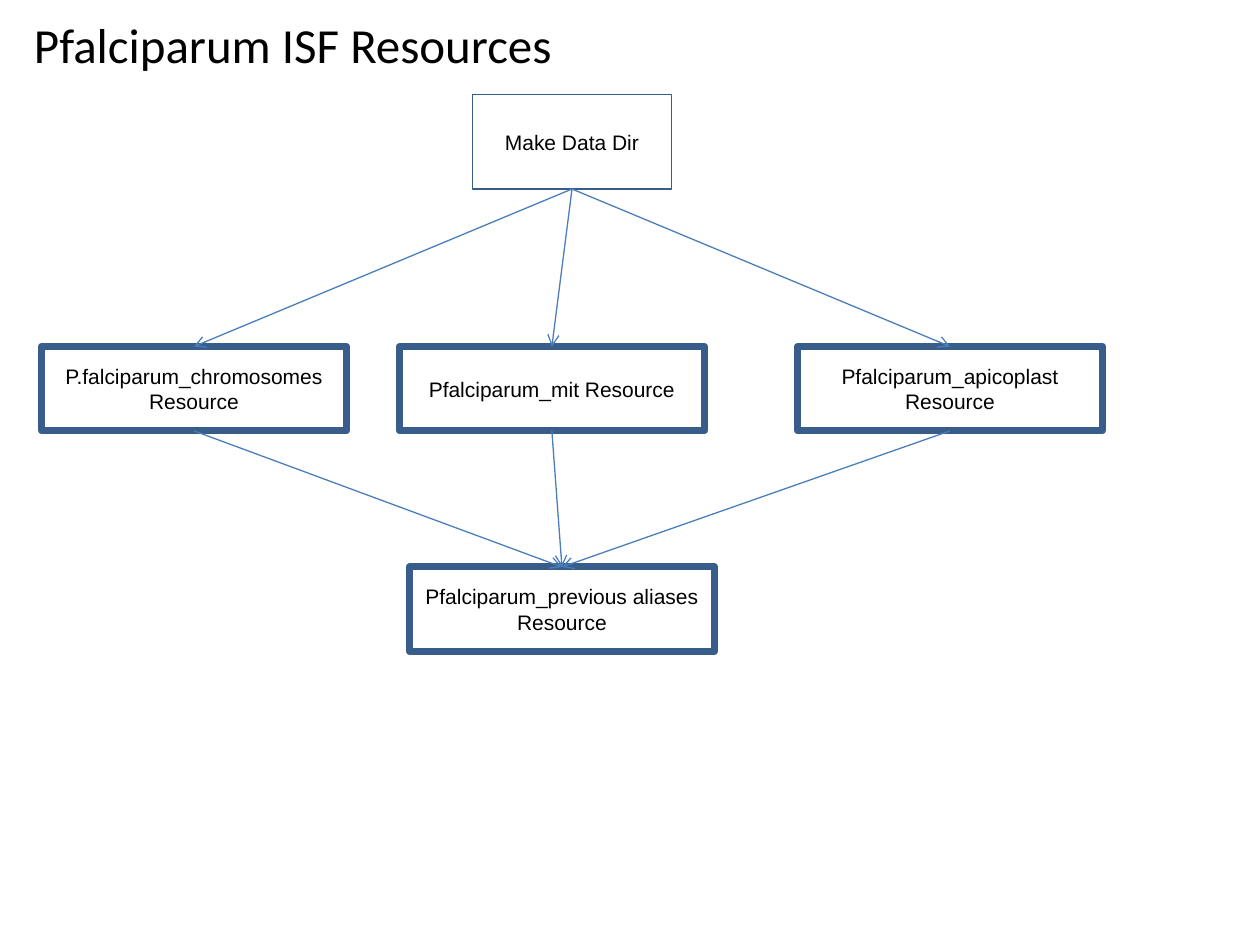
from lxml import etree
from pptx import Presentation
from pptx.dml.color import RGBColor
from pptx.enum import shapes, text
from pptx.oxml import ns
from pptx.util import Inches, Pt

BLACK = RGBColor(0x00, 0x00, 0x00)
BORDER = RGBColor(0x38, 0x5D, 0x8A)
ARROW = RGBColor(0x4A, 0x7E, 0xBB)
BOTTOM, TOP = 2, 0


def write(shape, words, font_name, size, alignment):
    frame = shape.text_frame
    frame.word_wrap = True
    frame.vertical_anchor = text.MSO_ANCHOR.MIDDLE
    frame.text = words
    paragraph = frame.paragraphs[0]
    paragraph.alignment = alignment
    font = paragraph.runs[0].font
    font.name = font_name
    font.size = Pt(size)
    font.color.rgb = BLACK


def add_title(slide, left, top, width, height, words):
    title = slide.shapes.add_textbox(left, top, width, height)
    write(title, words, "Calibri", 28, text.PP_ALIGN.LEFT)


def add_step(slide, left, top, width, height, words, border_width):
    step = slide.shapes.add_shape(
        shapes.MSO_SHAPE.RECTANGLE, left, top, width, height)
    step.shadow.inherit = False
    step.fill.background()
    step.line.color.rgb = BORDER
    step.line.width = Pt(border_width)
    write(step, words, "Arial", 12, text.PP_ALIGN.CENTER)
    return step


def add_arrow(slide, source, target):
    arrow = slide.shapes.add_connector(shapes.MSO_CONNECTOR.STRAIGHT, 0, 0, 0, 0)
    arrow.begin_connect(source, BOTTOM)
    arrow.end_connect(target, TOP)
    arrow.line.color.rgb = ARROW
    arrow.line.width = Pt(0.75)
    tail = etree.SubElement(arrow.line._get_or_add_ln(), ns.qn("a:tailEnd"))
    tail.set("type", "arrow")
    etree.SubElement(arrow._element.spPr, ns.qn("a:effectLst"))


def add_workflow(slide, left, top):
    resource_width, resource_height = Inches(2.42), Inches(0.67)

    def add_resource(x, y, words):
        return add_step(slide, left + Inches(x), top + Inches(y),
                        resource_width, resource_height, words, 4)

    start = add_step(slide, left + Inches(3.42), top, Inches(1.58),
                     Inches(0.75), "Make Data Dir", 1)
    resources = [add_resource(x, 2, f"{name} Resource") for x, name in (
        (0, "P.falciparum_chromosomes"),
        (2.84, "Pfalciparum_mit"),
        (6, "Pfalciparum_apicoplast"),
    )]
    aliases = add_resource(2.92, 3.75, "Pfalciparum_previous aliases Resource")
    for resource in resources:
        add_arrow(slide, start, resource)
        add_arrow(slide, resource, aliases)


def main():
    presentation = Presentation()
    presentation.slide_width = Inches(10)
    presentation.slide_height = Inches(7.5)
    slide = presentation.slides.add_slide(presentation.slide_layouts[6])
    add_title(slide, Inches(0.17), Inches(0.08), Inches(5.58), Inches(0.53),
              "Pfalciparum ISF Resources")
    add_workflow(slide, Inches(0.33), Inches(0.75))
    presentation.save("out.pptx")


if __name__ == "__main__":
    main()
